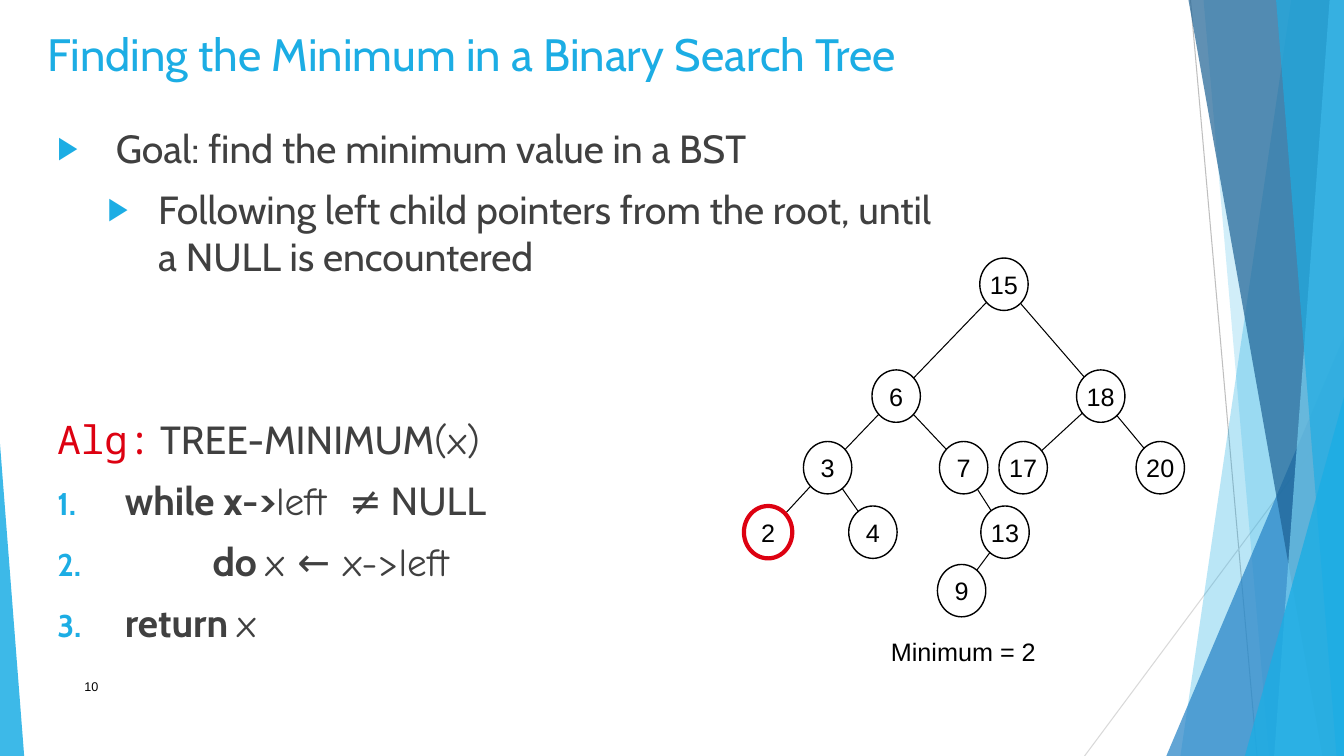
"""Build the slide on finding the minimum of a binary search tree."""
from dataclasses import dataclass

from lxml import etree
from pptx import Presentation
from pptx import util as u
from pptx.dml.color import RGBColor
from pptx.enum import shapes, text
from pptx.oxml.ns import qn

SLIDE_WIDTH, SLIDE_HEIGHT = u.Inches(13.333), u.Inches(7.5)
BLUE, GREY, BLACK, WHITE, RED = "1CADE4", "404040", "000000", "FFFFFF", "DD0111"
SANS, HAND, MONO, PLAIN = "Cabin", "Comic Neue", "Noto Sans Mono", "Arial"
NODE_WIDTH, NODE_HEIGHT = 3.6, 6.93
LEVEL_ROWS = (37.6, 52.4, 61.87, 70.4, 78.13)


@dataclass
class Ribbon:
    """Band from a slanted left side to the right edge of the slide."""
    top_x: float
    bottom_x: float
    color: str
    opacity: int


@dataclass
class Wedge:
    """Right-angled triangle standing on the bottom edge."""
    left: float
    top: float
    width: float
    apex: float
    color: str
    opacity: int


@dataclass
class Node:
    """Tree node with the key of its parent."""
    key: int
    column: float
    level: int
    parent: int | None = None


@dataclass
class Run:
    """Stretch of text in one style."""
    words: str
    font: str = SANS
    size: float = 28
    color: str = GREY
    bold: bool = False
    spacing: int = 0


@dataclass
class Line:
    """Paragraph with its indent and bullet, lengths in slide percent."""
    runs: list[Run]
    margin: float = 0
    hanging: float = 0
    bullet: str = ""
    number: int = 0
    level: int = 0


DECORATION = (
    Ribbon(96.08, 87.83, BLUE, 30),
    Ribbon(89.55, 94.43, BLUE, 20),
    Wedge(86.78, 44.53, 13.22, 1, "2683C6", 72),
    Ribbon(88.43, 98.4, "1D6294", 70),
    Ribbon(98.93, 94.8, "77CEEF", 70),
    Ribbon(94.95, 99.45, BLUE, 65),
    Wedge(92.63, 52.53, 7.37, 1, BLUE, 80),
    Wedge(0, 58.67, 1.8, 0, BLUE, 85),
)
TREE = (
    Node(15, 74.7, 0),
    Node(6, 66.68, 1, 15), Node(18, 81.9, 1, 15),
    Node(3, 61.58, 2, 6), Node(7, 71.7, 2, 6),
    Node(17, 76.13, 2, 18), Node(20, 86.33, 2, 18),
    Node(2, 57.15, 3, 3), Node(4, 64.95, 3, 3), Node(13, 74.78, 3, 7),
    Node(9, 71.55, 4, 13),
)
MINIMUM = min(node.key for node in TREE)
GOAL = [
    Line([Run("Goal: find the minimum value in a BST")], 4.35, 4.35, "▶"),
    Line([Run("Following left child pointers from the root, until a NULL is encountered")],
         7.5, 3.75, "▶", level=1),
]
ALGORITHM = [
    Line([Run("Alg:", MONO, color=RED), Run(" TREE-MINIMUM"), Run("(x)", HAND)]),
    Line([Run("while x->", bold=True), Run("left", HAND), Run(" ", HAND, spacing=700),
          Run("≠ NULL")], 5.03, 5.03, number=1),
    Line([Run("do ", bold=True), Run("x ← x->left", HAND)], 11.55, 11.55, number=2),
    Line([Run("return ", bold=True), Run("x", HAND)], 5.03, 5.03, number=3),
]


def across(share: float) -> int:
    """Turn a percentage of the slide's width into a length."""
    return round(SLIDE_WIDTH * share / 100)


def down(share: float) -> int:
    """Turn a percentage of the slide's height into a length."""
    return round(SLIDE_HEIGHT * share / 100)


def paint(color_owner, color: str) -> None:
    """Set a solid fill from a hex string."""
    color_owner.solid()
    color_owner.fore_color.rgb = RGBColor.from_string(color)


def draw_decoration(slide, part: Ribbon | Wedge) -> None:
    """Draw one translucent band or triangle."""
    if isinstance(part, Ribbon):
        outline = slide.shapes.build_freeform(across(part.top_x), 0)
        outline.add_line_segments([(SLIDE_WIDTH, 0), (SLIDE_WIDTH, SLIDE_HEIGHT),
                                   (across(part.bottom_x), SLIDE_HEIGHT)])
        facet = outline.convert_to_shape()
    else:
        facet = slide.shapes.add_shape(
            shapes.MSO_SHAPE.ISOSCELES_TRIANGLE, across(part.left), down(part.top),
            across(part.width), down(100 - part.top))
        facet.adjustments[0] = part.apex
    facet.shadow.inherit = False
    facet.line.fill.background()
    paint(facet.fill, part.color)
    tint = facet.fill._xPr.find(qn("a:solidFill"))[0]
    etree.SubElement(tint, qn("a:alpha"), val=str(part.opacity * 1000))


def draw_stroke(slide, x1: float, y1: float, x2: float, y2: float, color: str) -> None:
    """Draw a thin straight line."""
    stroke = slide.shapes.add_connector(
        shapes.MSO_CONNECTOR.STRAIGHT, across(x1), down(y1), across(x2), down(y2))
    stroke.line.width = u.Pt(0.75)
    paint(stroke.line.fill, color)
    etree.SubElement(stroke._element.spPr, qn("a:effectLst"))


def add_run(paragraph, part: Run) -> None:
    """Append one styled run."""
    run = paragraph.add_run()
    run.text = part.words
    run.font.name, run.font.size, run.font.bold = part.font, u.Pt(part.size), part.bold
    paint(run.font.fill, part.color)
    if part.spacing:
        run.font._element.set("spc", str(part.spacing))


def add_marker(paragraph, line: Line) -> None:
    """Give a paragraph its indent and its bullet or number."""
    properties = paragraph._p.get_or_add_pPr()
    properties.set("marL", str(across(line.margin)))
    properties.set("indent", str(-across(line.hanging)))
    if line.bullet or line.number:
        tint = etree.SubElement(properties, qn("a:buClr"))
        etree.SubElement(tint, qn("a:srgbClr"), val=BLUE)
        etree.SubElement(properties, qn("a:buSzPct"), val="80000")
        etree.SubElement(properties, qn("a:buFont"), typeface=SANS if line.number else PLAIN)
    if line.bullet:
        etree.SubElement(properties, qn("a:buChar"), char=line.bullet)
    elif line.number:
        etree.SubElement(properties, qn("a:buAutoNum"), type="arabicPeriod",
                         startAt=str(line.number))


def write(slide, left: float, top: float, width: float, height: float,
          lines: list[Line], wrap: bool = True, middle: bool = False) -> None:
    """Place a text box with its paragraphs."""
    frame = slide.shapes.add_textbox(
        across(left), down(top), across(width), down(height)).text_frame
    frame.word_wrap = wrap
    frame.vertical_anchor = text.MSO_ANCHOR.MIDDLE if middle else text.MSO_ANCHOR.TOP
    for index, line in enumerate(lines):
        paragraph = frame.add_paragraph() if index else frame.paragraphs[0]
        paragraph.level = line.level
        add_marker(paragraph, line)
        paragraph.space_before = u.Pt(10 if index else 0)
        for part in line.runs:
            add_run(paragraph, part)


def draw_node(slide, node: Node) -> None:
    """Draw a node, ringed in red when it holds the minimum."""
    circle = slide.shapes.add_shape(
        shapes.MSO_SHAPE.OVAL, across(node.column - NODE_WIDTH / 2),
        down(LEVEL_ROWS[node.level] - NODE_HEIGHT / 2), across(NODE_WIDTH), down(NODE_HEIGHT))
    circle.shadow.inherit = False
    paint(circle.fill, WHITE)
    is_minimum = node.key == MINIMUM
    paint(circle.line.fill, RED if is_minimum else BLACK)
    circle.line.width = u.Pt(3 if is_minimum else 1)
    frame = circle.text_frame
    frame.word_wrap = False
    frame.vertical_anchor = text.MSO_ANCHOR.MIDDLE
    frame.paragraphs[0].alignment = text.PP_ALIGN.CENTER
    add_run(frame.paragraphs[0], Run(str(node.key), PLAIN, 18, BLACK))


def draw_tree(slide) -> None:
    """Draw the links and then the nodes over them."""
    by_key = {node.key: node for node in TREE}
    for node in TREE:
        if node.parent is not None:
            parent = by_key[node.parent]
            draw_stroke(slide, parent.column, LEVEL_ROWS[parent.level],
                        node.column, LEVEL_ROWS[node.level], BLACK)
    for node in TREE:
        draw_node(slide, node)


def main() -> None:
    """Build and save the slide."""
    deck = Presentation()
    deck.slide_width, deck.slide_height = SLIDE_WIDTH, SLIDE_HEIGHT
    slide = deck.slides.add_slide(deck.slide_layouts[6])
    draw_stroke(slide, 88.58, 0, 93.53, 100, "BFBFBF")
    draw_stroke(slide, 100, 53.87, 80.7, 100, "D9D9D9")
    for part in DECORATION:
        draw_decoration(slide, part)
    write(slide, 5.55, 88.13, 51.68, 5.33, [Line([Run("10", PLAIN, 9, BLACK)])], middle=True)
    write(slide, 2.78, 2.8, 86.93, 9.07,
          [Line([Run("Finding the Minimum in a Binary Search Tree", size=32.4, color=BLUE)])])
    write(slide, 3.53, 15.73, 68.48, 22, GOAL)
    write(slide, 3.53, 54.27, 50, 32, ALGORITHM)
    draw_tree(slide)
    write(slide, 65.55, 83.47, 12.3, 9.33,
          [Line([Run(f"Minimum = {MINIMUM}", PLAIN, 18, BLACK)])], wrap=False)
    deck.save("out.pptx")


if __name__ == "__main__":
    main()
